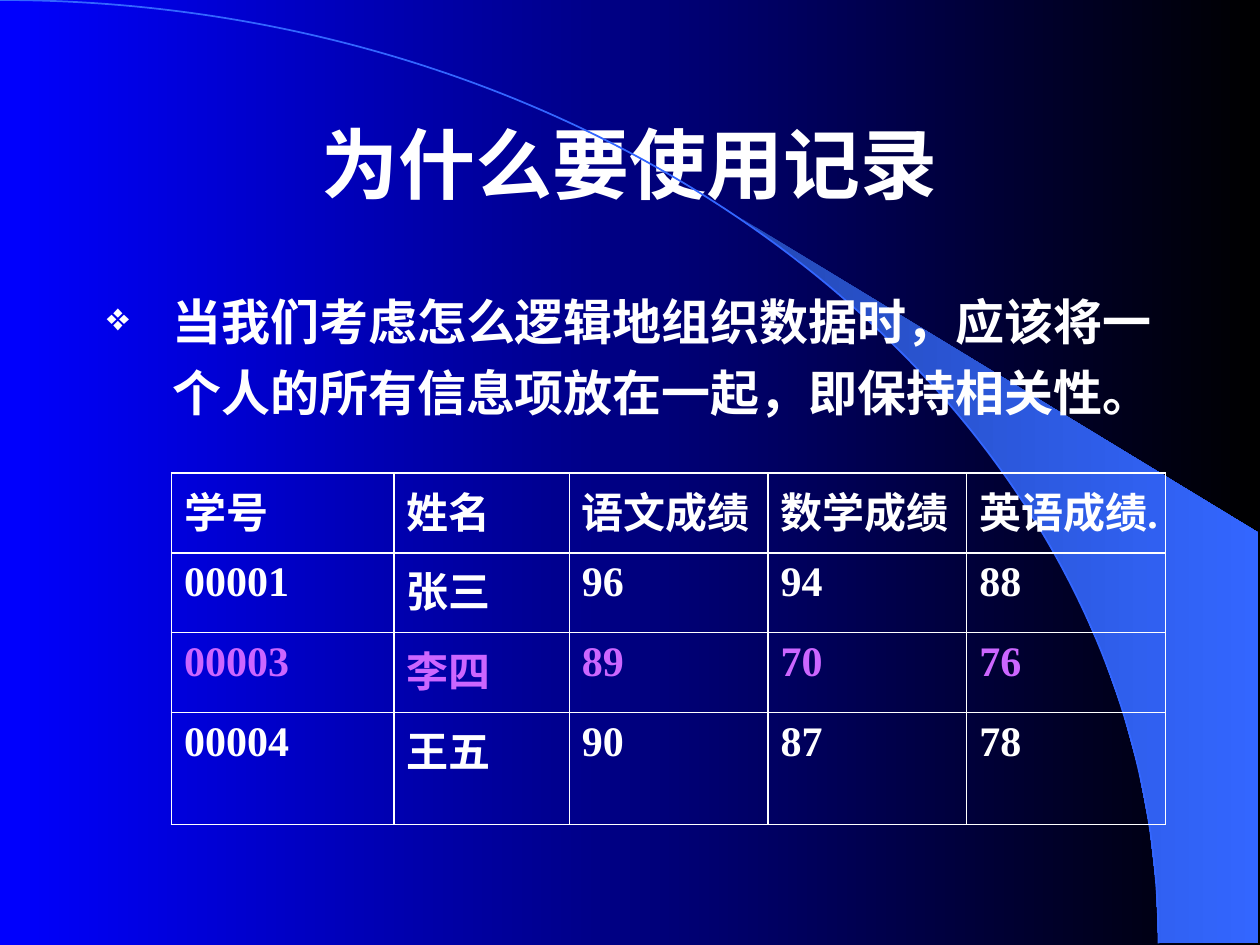
import math

from lxml import etree
from pptx import Presentation
from pptx import util as u
from pptx.dml.color import RGBColor
from pptx.enum import lang, text
from pptx.oxml import ns

Pt = u.Pt
WIDTH, HEIGHT = 720, 540
WHITE, VIOLET, SKY = "FFFFFF", "CC66FF", "3366FF"
CJK = "Noto Sans CJK SC"
KAPPA = 0.55
ROWS = [
    ["学号", "姓名", "语文成绩", "数学成绩", "英语成绩."],
    ["00001", "张三", "96", "94", "88"],
    ["00003", "李四", "89", "70", "76"],
    ["00004", "王五", "90", "87", "78"],
]


def color(value):
    """Turn a hex string into a colour."""
    return RGBColor.from_string(value)


def assign(target, **values):
    """Set attributes of an object from format values."""
    for name, value in values.items():
        setattr(target, name, value)


def add_element(parent, tag, **attributes):
    """Append a DrawingML element."""
    return etree.SubElement(parent, ns.qn(tag), attributes)


def write(para, content, size, font):
    """Add a bold span to a paragraph."""
    span = para.add_run()
    span.text = content
    assign(span.font, name=font, size=Pt(size), bold=True,
           language_id=lang.MSO_LANGUAGE_ID.SIMPLIFIED_CHINESE)
    span.font.color.rgb = color(WHITE)
    add_element(span.font._element, "a:ea", typeface=CJK)
    return span


def paint_gradient(fill, start, end):
    """Fill with a left-to-right gradient."""
    fill.gradient()
    fill.gradient_angle = 0
    for stop, value in zip(fill.gradient_stops, (start, end)):
        stop.color.rgb = color(value)


def arc_points(box, start, end, steps):
    """List points on the top right quarter of an ellipse, angles from the top."""
    left, top, width, height = box
    angles = [math.radians(start + (end - start) * i / steps) for i in range(steps + 1)]
    return [(left + width * math.sin(a), top + height * (1 - math.cos(a))) for a in angles]


def add_outline(page, points, closed):
    """Draw a freeform through points."""
    corners = [(Pt(x), Pt(y)) for x, y in points]
    builder = page.shapes.build_freeform(*corners[0])
    builder.add_line_segments(corners[1:], close=closed)
    shape = builder.convert_to_shape()
    shape.shadow.inherit = False
    return shape


def add_arc(page, box):
    """Draw a quarter ellipse as one curve across the box."""
    left, top, width, height = box
    arc = add_outline(page, [(left, top), (left + width, top + height)], False)
    route = arc._element.find(".//" + ns.qn("a:path"))
    route.remove(route.find(ns.qn("a:lnTo")))
    curve = add_element(route, "a:cubicBezTo")
    for x, y in ((width * KAPPA, 0), (width, height * (1 - KAPPA)), (width, height)):
        add_element(curve, "a:pt", x=str(Pt(x)), y=str(Pt(y)))
    arc.fill.background()
    arc.line.color.rgb = color(SKY)
    arc.line.width = Pt(1)


def add_backdrop(page, box):
    """Paint the background, the beam and the arc."""
    paint_gradient(page.background.fill, "0000FF", "000000")
    left, top, width, height = box
    right = left + WIDTH - 0.7
    edge = arc_points(box, 39.8, 90, 14)
    beam = add_outline(page, edge + [(right, top + height), (right, top + 304.5)], True)
    paint_gradient(beam.fill, "2449B6", SKY)
    beam.line.fill.background()
    add_arc(page, box)


def add_title(page, box, content):
    """Place and format the title."""
    title = page.shapes.title
    left, top, width, height = map(Pt, box)
    assign(title, left=left, top=top, width=width, height=height)
    assign(title.text_frame, vertical_anchor=text.MSO_ANCHOR.MIDDLE, word_wrap=True)
    para = title.text_frame.paragraphs[0]
    para.alignment = text.PP_ALIGN.CENTER
    write(para, content, 44, "Arial")


def add_body(page, box, content):
    """Add the bulleted statement."""
    frame = page.shapes.add_textbox(*map(Pt, box)).text_frame
    frame.word_wrap = True
    para = frame.paragraphs[0]
    props = para._p.get_or_add_pPr()
    indent = Pt(37.5)
    props.set("marL", str(indent))
    props.set("indent", str(-indent))
    add_element(add_element(props, "a:buClr"), "a:srgbClr", val=WHITE)
    add_element(props, "a:buSzPct", val="80000")
    add_element(props, "a:buFont", typeface="OpenSymbol")
    add_element(props, "a:buChar", char="❖")
    assign(para, line_spacing=1.2, space_before=Pt(0))
    write(para, content, 28, CJK)


def add_borders(cell):
    """Draw white lines on all sides of a cell."""
    props = cell._tc.get_or_add_tcPr()
    for side in "LRTB":
        line = add_element(props, f"a:ln{side}", w=str(Pt(1)))
        add_element(add_element(line, "a:solidFill"), "a:srgbClr", val=WHITE)


def add_scores(page, box, rows, marked):
    """Add the score table with one marked row."""
    table = page.shapes.add_table(len(rows), len(rows[0]), *map(Pt, box)).table
    assign(table, first_row=False, horz_banding=False)
    _, _, width, height = box
    for column, size in zip(table.columns, [127.2, 100.2] + [(width - 227.4) / 3] * 3):
        column.width = Pt(size)
    for row, size in zip(table.rows, [45.6] * 3 + [height - 3 * 45.6]):
        row.height = Pt(size)
    for r, values in enumerate(rows):
        for c, value in enumerate(values):
            cell = table.cell(r, c)
            add_borders(cell)
            cell.fill.background()
            span = write(cell.text_frame.paragraphs[0], value, 24, "Times New Roman")
            if r == marked:
                span.font.color.rgb = color(VIOLET)


def main():
    """Build and save the deck."""
    deck = Presentation()
    assign(deck, slide_width=Pt(WIDTH), slide_height=Pt(HEIGHT))
    page = deck.slides.add_slide(deck.slide_layouts[5])
    add_backdrop(page, (0, 0, 662, 539))
    add_title(page, (54, 48, 612, 90), "为什么要使用记录")
    add_body(page, (54, 156.4, 632, 111),
             "当我们考虑怎么逻辑地组织数据时，应该将一个人的所有信息项放在一起，即保持相关性。")
    add_scores(page, (98, 270.3, 568, 201), ROWS, 2)
    deck.save("out.pptx")


if __name__ == "__main__":
    main()
